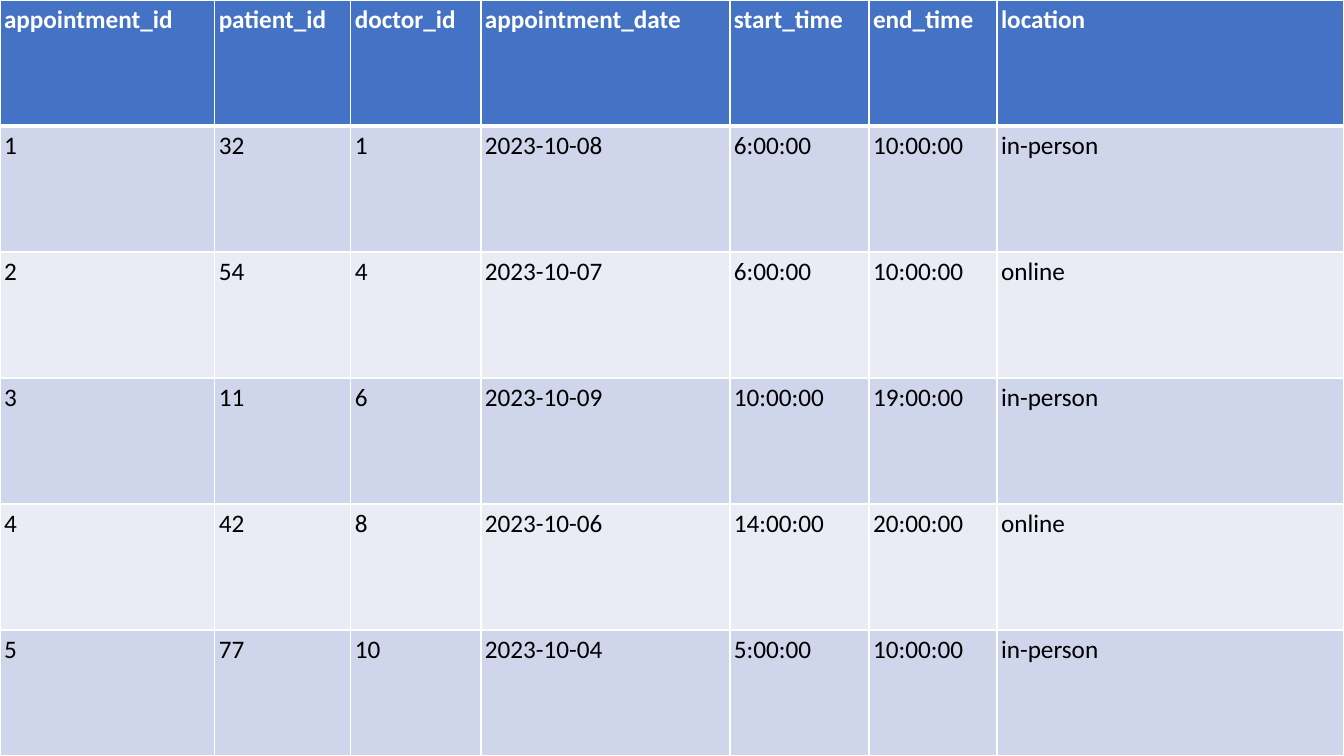
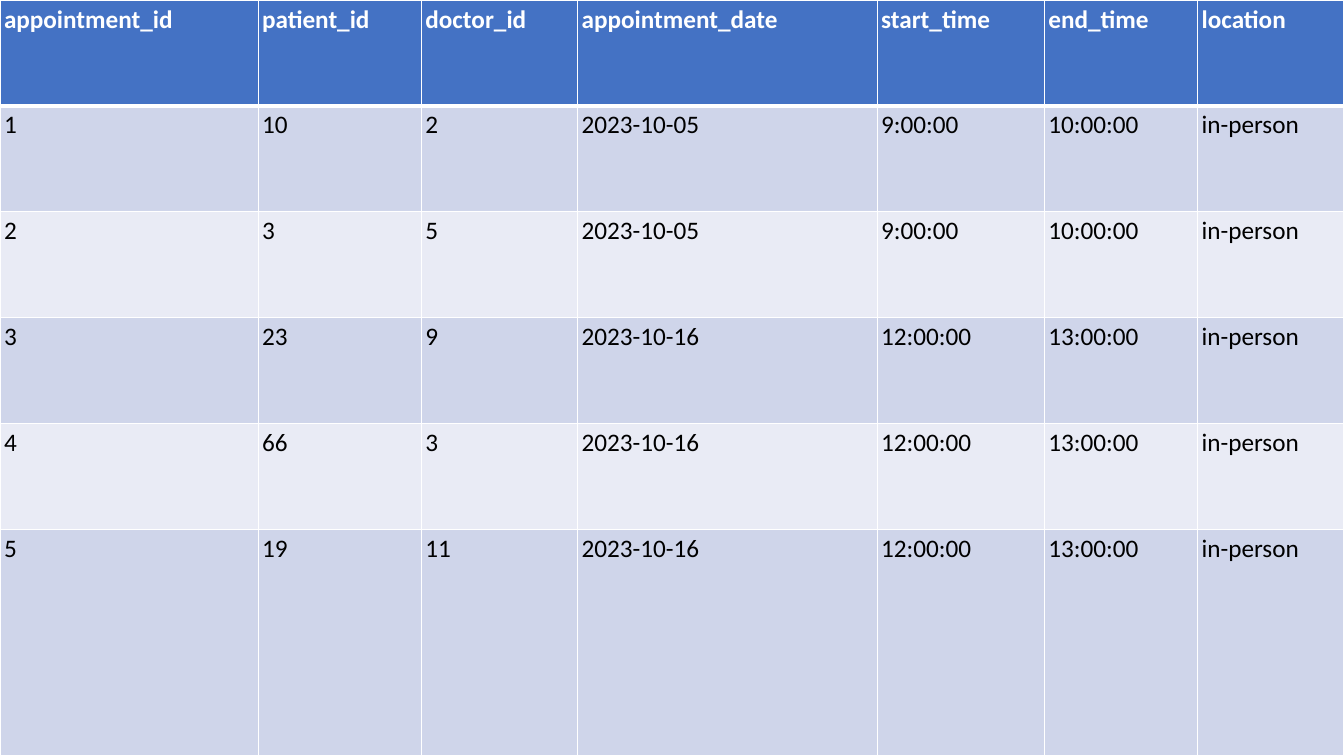
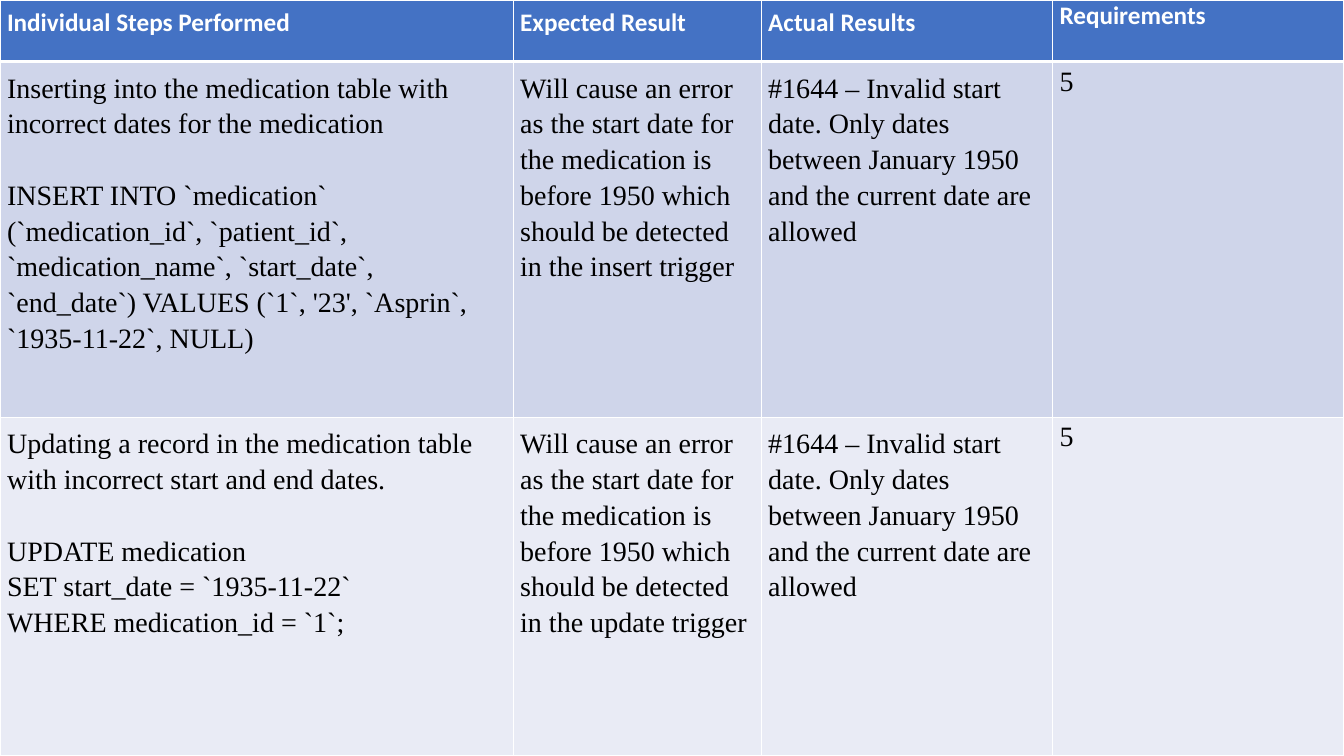
from lxml import etree
from pptx import Presentation
from pptx.dml.color import RGBColor
from pptx.oxml.ns import qn
from pptx.util import Inches, Pt

PAGE_WIDTH, PAGE_HEIGHT = 13.33, 7.5
BLUE, WHITE, BLACK = "4472C4", "FFFFFF", "000000"
BANDS = ["CFD5EA", "E9EBF5"]

APPOINTMENT_HEADER = ["appointment_id", "patient_id", "doctor_id", "appointment_date",
                      "start_time", "end_time", "location"]
ERROR = "#1644 – Invalid start date. Only dates between January 1950 and the current date are allowed"
EXPECTED = ("Will cause an error as the start date for the medication is before 1950 "
            "which should be detected in the {} trigger")

APPOINTMENTS = {"font": "Calibri", "size": 18, "spacing": 1.0, "background": BLUE,
                "margins": [(0.04, 0.04)] * 7, "header": APPOINTMENT_HEADER}
TESTS = {"font": "Times New Roman", "size": 20, "spacing": 1.15, "background": WHITE,
         "margins": [(0.07, 0.07)] * 3 + [(0.07, 0)],
         "header": ["Individual Steps Performed", "Expected Result", "Actual Results",
                    "Requirements"]}

PAGES = [
    {**APPOINTMENTS,
     "widths": [2.13, 1.35, 1.29, 2.47, 1.38, 1.27],
     "heights": [1.25] * 5,
     "rows": [
         ["1", "32", "1", "2023-10-08", "6:00:00", "10:00:00", "in-person"],
         ["2", "54", "4", "2023-10-07", "6:00:00", "10:00:00", "online"],
         ["3", "11", "6", "2023-10-09", "10:00:00", "19:00:00", "in-person"],
         ["4", "42", "8", "2023-10-06", "14:00:00", "20:00:00", "online"],
         ["5", "77", "10", "2023-10-04", "5:00:00", "10:00:00", "in-person"],
     ]},
    {**APPOINTMENTS,
     "widths": [2.56, 1.62, 1.55, 2.97, 1.66, 1.52],
     "heights": [1.05] * 5,
     "rows": [
         ["1", "10", "2", "2023-10-05", "9:00:00", "10:00:00", "in-person"],
         ["2", "3", "5", "2023-10-05", "9:00:00", "10:00:00", "in-person"],
         ["3", "23", "9", "2023-10-16", "12:00:00", "13:00:00", "in-person"],
         ["4", "66", "3", "2023-10-16", "12:00:00", "13:00:00", "in-person"],
         ["5", "19", "11", "2023-10-16", "12:00:00", "13:00:00", "in-person"],
     ]},
    {**TESTS,
     "widths": [5.09, 2.46, 2.89],
     "heights": [0.61, 3.53],
     "rows": [
         [["Inserting into the medication table with incorrect dates for the medication",
           "INSERT INTO `medication` (`medication_id`, `patient_id`, `medication_name`, "
           "`start_date`, `end_date`) VALUES (`1`, '23', `Asprin`, `1935-11-22`, NULL)"],
          EXPECTED.format("insert"), ERROR, "5"],
         [["Updating a record in the medication table with incorrect start and end dates.",
           "UPDATE medication", "SET start_date = `1935-11-22`",
           "WHERE medication_id = `1`;"],
          EXPECTED.format("update"), ERROR, "5"],
     ]},
]


def color(value):
    return RGBColor.from_string(value)


def set_borders(cell, top, bottom):
    properties = cell._tc.get_or_add_tcPr()
    for side, width in (("L", 1), ("R", 1), ("T", top), ("B", bottom)):
        line = etree.SubElement(properties, qn(f"a:ln{side}"), w=str(Pt(width)))
        fill = etree.SubElement(line, qn("a:solidFill"))
        etree.SubElement(fill, qn("a:srgbClr"), val=WHITE)


def write_cell(cell, content, margins, font, size, ink, bold, spacing):
    cell.margin_left = cell.margin_right = Inches(margins[0])
    cell.margin_top = cell.margin_bottom = Inches(margins[1])
    texts = content if isinstance(content, list) else [content]
    frame = cell.text_frame
    for index, text in enumerate(texts):
        para = frame.add_paragraph() if index else frame.paragraphs[0]
        para.line_spacing = spacing
        if index == 1:
            para.space_before = Pt(25.5)
        span = para.add_run()
        span.text = text
        span.font.name = font
        span.font.size = Pt(size)
        span.font.bold = bold
        span.font.color.rgb = color(ink)


def fill_to(lengths, total):
    return lengths + [round(total - sum(lengths), 2)]


def add_page(deck, data):
    page = deck.slides.add_slide(deck.slide_layouts[6])
    page.background.fill.solid()
    page.background.fill.fore_color.rgb = color(data["background"])
    rows = [data["header"]] + data["rows"]
    table = page.shapes.add_table(len(rows), len(data["header"]), 0, 0,
                                  Inches(PAGE_WIDTH), Inches(PAGE_HEIGHT)).table
    table.horz_banding = False
    for column, width in zip(table.columns, fill_to(data["widths"], PAGE_WIDTH)):
        column.width = Inches(width)
    for row, height in zip(table.rows, fill_to(data["heights"], PAGE_HEIGHT)):
        row.height = Inches(height)
    header_style = ("Calibri", 18, WHITE, True, 1.0)
    body_style = (data["font"], data["size"], BLACK, False, data["spacing"])
    for r, contents in enumerate(rows):
        for c, content in enumerate(contents):
            cell = table.cell(r, c)
            set_borders(cell, top=3 if r == 1 else 1, bottom=3 if r == 0 else 1)
            cell.fill.solid()
            cell.fill.fore_color.rgb = color(BANDS[(r - 1) % 2] if r else BLUE)
            write_cell(cell, content, data["margins"][c],
                       *(body_style if r else header_style))


def main():
    deck = Presentation()
    deck.slide_width = Inches(PAGE_WIDTH)
    deck.slide_height = Inches(PAGE_HEIGHT)
    for data in PAGES:
        add_page(deck, data)
    deck.save("out.pptx")


if __name__ == "__main__":
    main()
